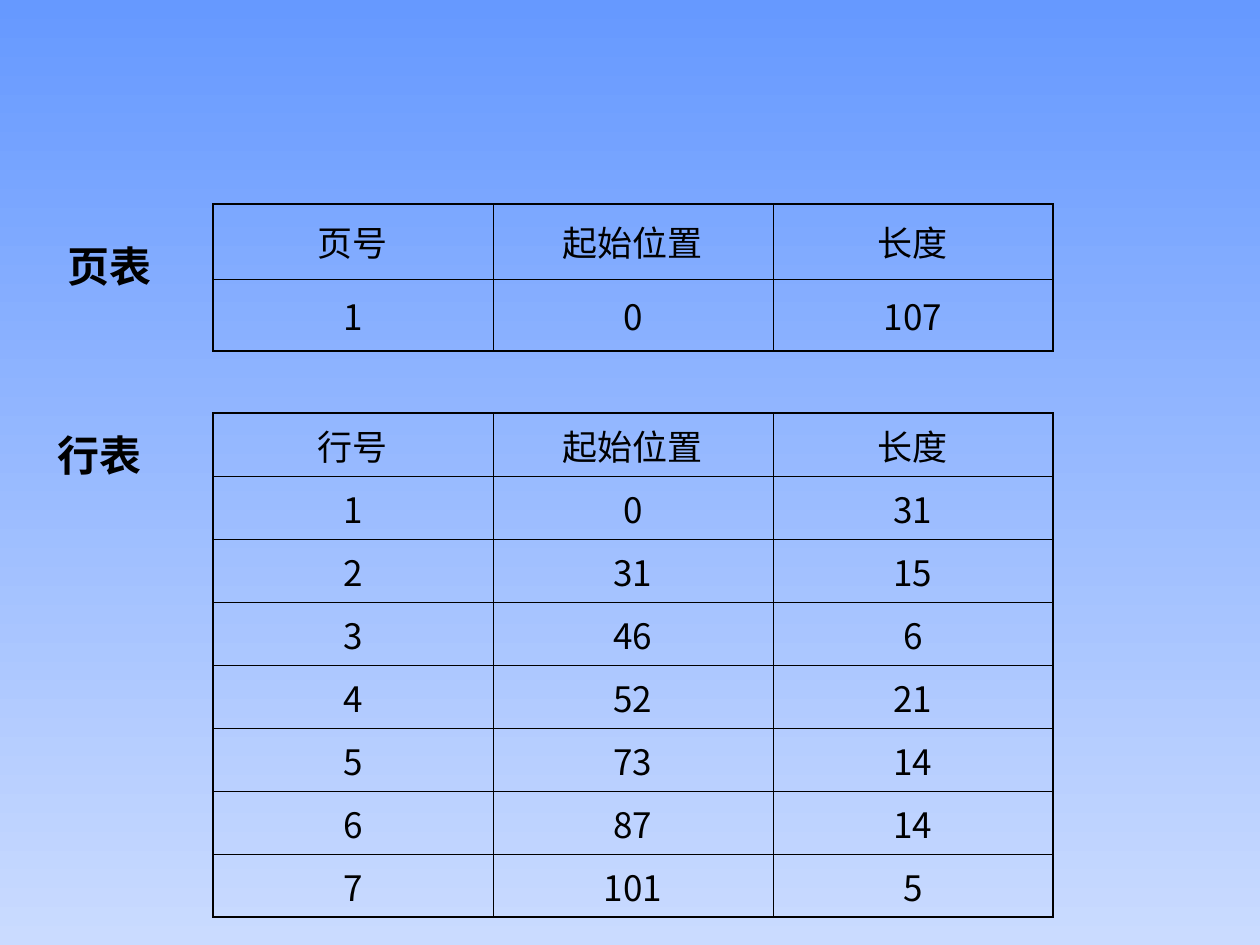
"""Build a slide with a page table and a line table on a blue gradient."""
from lxml.etree import SubElement
from pptx import Presentation
from pptx.dml.color import RGBColor
from pptx.enum.text import MSO_ANCHOR, MSO_AUTO_SIZE, PP_ALIGN
from pptx.oxml.ns import qn
from pptx.util import Pt

SCALE = 914400 / 126
PAGE_WIDTH, PAGE_HEIGHT = 1260, 945
SKY = RGBColor(0x66, 0x99, 0xFF)
PALE_SKY = RGBColor(0xCA, 0xDB, 0xFF)
BLACK = RGBColor(0, 0, 0)
CHINESE_FONT = "Noto Sans CJK SC"
LABEL_FONT = "Times New Roman"
OUTER_LINE, INNER_LINE = 1.08, 0.45

TABLE_LEFT, COLUMN_WIDTH = 213, 280
LABEL_WIDTH, LABEL_HEIGHT = 118, 63
LABELS = [("页表", 55, 234), ("行表", 45, 423)]
PAGE_TABLE = [
    ("页号", "起始位置", "长度"),
    ("1", "0", "107"),
]
LINE_TABLE = [
    ("行号", "起始位置", "长度"),
    ("1", "0", "31"),
    ("2", "31", "15"),
    ("3", "46", "6"),
    ("4", "52", "21"),
    ("5", "73", "14"),
    ("6", "87", "14"),
    ("7", "101", "5"),
]
TABLES = [
    (PAGE_TABLE, 204, [75, 72]),
    (LINE_TABLE, 413, [63] * len(LINE_TABLE)),
]


def px(length):
    return round(length * SCALE)


def write(frame, text, size, font, bold=False, align=PP_ALIGN.LEFT):
    para = frame.paragraphs[0]
    para.alignment = align
    span = para.add_run()
    span.text = text
    span.font.size = Pt(size)
    span.font.bold = bold
    span.font.name = font
    span.font.color.rgb = BLACK
    SubElement(span.font._element, qn("a:ea"), typeface=CHINESE_FONT)


def draw_border(cell, side, width):
    properties = cell._tc.get_or_add_tcPr()
    line = SubElement(properties, qn(f"a:ln{side}"), w=str(Pt(width)))
    fill = SubElement(line, qn("a:solidFill"))
    SubElement(fill, qn("a:srgbClr"), val=str(BLACK))


def add_label(page, text, left, top):
    box = page.shapes.add_textbox(px(left), px(top), px(LABEL_WIDTH), px(LABEL_HEIGHT))
    box.text_frame.word_wrap = False
    box.text_frame.auto_size = MSO_AUTO_SIZE.SHAPE_TO_FIT_TEXT
    write(box.text_frame, text, size=24, font=LABEL_FONT, bold=True)


def add_grid(page, rows, top, heights):
    row_count, column_count = len(rows), len(rows[0])
    table = page.shapes.add_table(
        row_count, column_count, px(TABLE_LEFT), px(top),
        px(COLUMN_WIDTH * column_count), px(sum(heights)),
    ).table
    table.first_row = table.horz_banding = False
    for column in table.columns:
        column.width = px(COLUMN_WIDTH)
    for row_index, (values, height) in enumerate(zip(rows, heights)):
        table.rows[row_index].height = px(height)
        for column_index, value in enumerate(values):
            cell = table.cell(row_index, column_index)
            cell.vertical_anchor = MSO_ANCHOR.MIDDLE
            write(cell.text_frame, value, size=20, font=CHINESE_FONT, align=PP_ALIGN.CENTER)
            outer_sides = {
                "L": column_index == 0,
                "R": column_index == column_count - 1,
                "T": row_index == 0,
                "B": row_index == row_count - 1,
            }
            for side, is_outer in outer_sides.items():
                draw_border(cell, side, OUTER_LINE if is_outer else INNER_LINE)
            cell.fill.background()


def main():
    deck = Presentation()
    deck.slide_width, deck.slide_height = px(PAGE_WIDTH), px(PAGE_HEIGHT)
    page = deck.slides.add_slide(deck.slide_layouts[6])
    backdrop = page.background.fill
    backdrop.gradient()
    backdrop.gradient_angle = 270
    for stop, color in zip(backdrop.gradient_stops, (SKY, PALE_SKY)):
        stop.color.rgb = color
    for label in LABELS:
        add_label(page, *label)
    for grid in TABLES:
        add_grid(page, *grid)
    deck.save("out.pptx")


if __name__ == "__main__":
    main()
